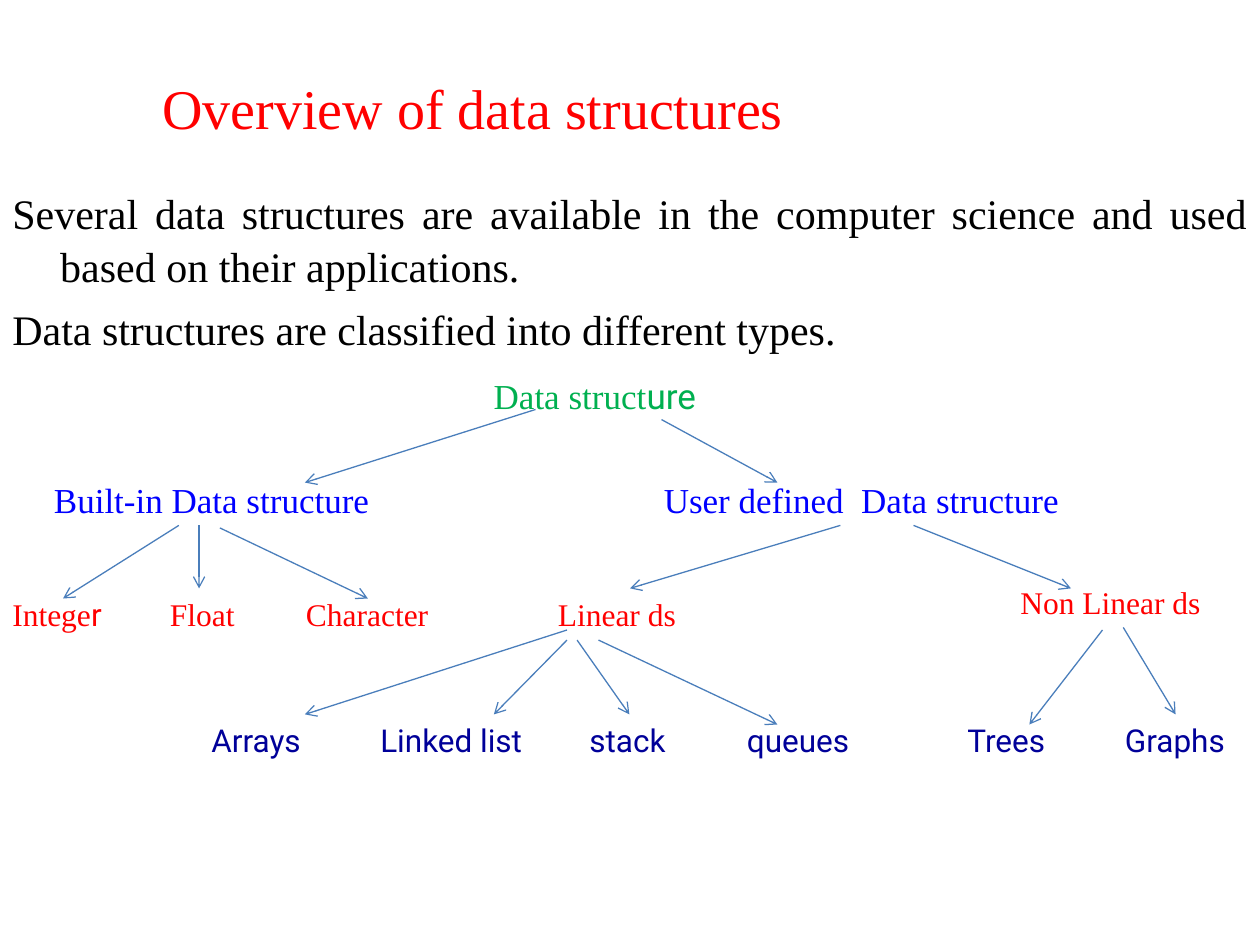
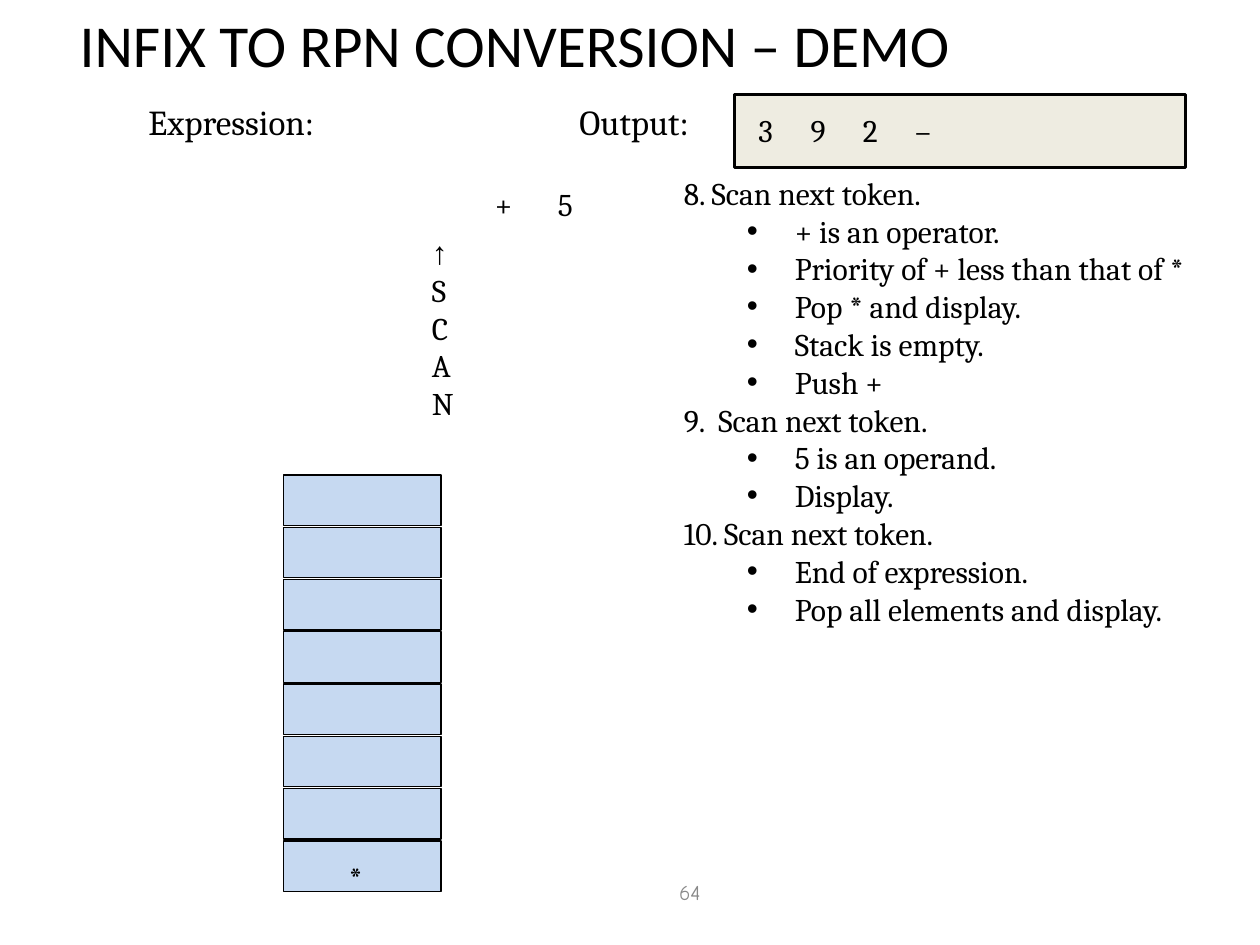
from dataclasses import dataclass

import pptx
import pptx.dml.color
import pptx.enum.shapes
import pptx.enum.text
import pptx.oxml.ns
import pptx.util
from lxml import etree
from pptx.util import Inches

ALIGN = pptx.enum.text.PP_ALIGN
ANCHOR = pptx.enum.text.MSO_ANCHOR
SHAPE = pptx.enum.shapes.MSO_SHAPE
LINK = pptx.enum.shapes.MSO_CONNECTOR
qn = pptx.oxml.ns.qn

HEX = {
    "black": "000000", "red": "FF0000", "green": "00B050", "blue": "0000FF",
    "navy": "000099", "arrow": "4A7EBB", "cell": "C6D9F1", "tray": "EEECE1",
    "grey": "898989",
}
SERIF, SANS, BOOK = "Times New Roman", "Roboto", "Cambria"


@dataclass
class Style:
    font: str
    size: float
    hue: str


ROOT = Style(SERIF, 20, "green")
KIND = Style(SERIF, 20, "blue")
TYPE = Style(SERIF, 18, "red")
LEAF = Style(SANS, 18, "navy")
HEAD = Style(BOOK, 20, "black")
BODY = Style(BOOK, 18, "black")


@dataclass
class Label:
    text: str
    left: float
    top: float
    width: float
    style: Style
    height: float = 0.4
    tail: str = ""  # last letters, set in the sans font


@dataclass
class Arrow:
    start: tuple[float, float]
    end: tuple[float, float]
    source: str = ""  # label whose bottom it leaves
    target: str = ""  # label whose top it meets


TREE = [
    Label("Data struct", 3.82, 2.92, 1.96, ROOT, 0.44, "ure"),
    Label("Built-in Data structure", 0.33, 3.75, 2.83, KIND, 0.44),
    Label("User defined  Data structure", 5.17, 3.75, 3.83, KIND, 0.44),
    Label("Intege", 0, 4.67, 1.17, TYPE, tail="r"),
    Label("Float", 1.25, 4.67, 1.33, TYPE),
    Label("Character", 2.33, 4.67, 1.42, TYPE),
    Label("Linear ds", 4.33, 4.67, 2.33, TYPE),
    Label("Non Linear ds", 8, 4.58, 1.83, TYPE),
    Label("Arrays", 1.58, 5.67, 1.17, LEAF),
    Label("Linked list", 2.92, 5.67, 1.58, LEAF),
    Label("stack", 4.58, 5.67, 0.83, LEAF),
    Label("queues", 5.83, 5.67, 1.08, LEAF),
    Label("Trees", 7.58, 5.67, 0.83, LEAF),
    Label("Graphs", 8.83, 5.67, 1, LEAF),
]
ARROWS = [
    Arrow((4.25, 3.25), (2.42, 3.83)),
    Arrow((5.25, 3.33), (6.17, 3.83)),
    Arrow((1.42, 4.17), (0.5, 4.75)),
    Arrow((1.58, 4.17), (1.58, 4.67)),
    Arrow((1.75, 4.19), (2.92, 4.75), source="Built-in Data structure"),
    Arrow((6.67, 4.17), (5, 4.67)),
    Arrow((7.25, 4.17), (8.5, 4.67)),
    Arrow((4.5, 5), (2.42, 5.67)),
    Arrow((4.5, 5.08), (3.92, 5.67)),
    Arrow((4.58, 5.08), (5, 5.67), target="stack"),
    Arrow((4.75, 5.08), (6.17, 5.75)),
    Arrow((8.75, 5), (8.17, 5.75)),
    Arrow((8.92, 4.98), (9.33, 5.67), source="Non Linear ds", target="Graphs"),
]
INTRO = [
    "Several data structures are available in the computer science "
    "and used based on their applications.",
    "Data structures are classified into different types.",
]
STEPS = [
    ("8. Scan next token.", [
        "+ is an operator.", "Priority of + less than that of *",
        "Pop * and display.", "Stack is empty.", "Push +"]),
    ("9.  Scan next token.", ["5 is an operand.", "Display."]),
    ("10. Scan next token.", [
        "End of expression.", "Pop all elements and display."]),
]
OUTPUT = ["3", "9", "2", "–"]
PITCH = 0.415  # step of both the output tokens and the stack cells
CELLS = 8


def rgb(hue: str) -> pptx.dml.color.RGBColor:
    return pptx.dml.color.RGBColor.from_string(HEX[hue])


def paint(para, style: Style) -> None:
    """Apply a text style to every run of a paragraph."""
    for run in para.runs:
        run.font.name = style.font
        run.font.size = pptx.util.Pt(style.size)
        run.font.color.rgb = rgb(style.hue)


def add_title(deck, text: str, left: float, top: float, width: float,
              height: float, style: Style):
    """Start a title-only slide and return it."""
    slide = deck.slides.add_slide(deck.slide_layouts[5])
    title = slide.shapes.title
    title.left, title.top = Inches(left), Inches(top)
    title.width, title.height = Inches(width), Inches(height)
    frame = title.text_frame
    frame.text = text
    frame.auto_size = pptx.enum.text.MSO_AUTO_SIZE.NONE
    frame.vertical_anchor = ANCHOR.MIDDLE
    frame.paragraphs[0].alignment = ALIGN.CENTER
    paint(frame.paragraphs[0], style)
    return slide


def add_label(slide, item: Label):
    box = slide.shapes.add_textbox(Inches(item.left), Inches(item.top),
                                   Inches(item.width), Inches(item.height))
    frame = box.text_frame
    frame.word_wrap = True
    frame.text = item.text
    para = frame.paragraphs[0]
    if item.tail:
        para.add_run().text = item.tail
    paint(para, item.style)
    if item.tail:
        para.runs[1].font.name = SANS
    return box


def add_arrow(slide, item: Arrow, boxes: dict) -> None:
    ends = [Inches(n) for n in (*item.start, *item.end)]
    line = slide.shapes.add_connector(LINK.STRAIGHT, *ends)
    if item.source:
        line.begin_connect(boxes[item.source], 2)
    if item.target:
        line.end_connect(boxes[item.target], 0)
    line.line.color.rgb = rgb("arrow")
    line.line.width = pptx.util.Pt(0.75)
    etree.SubElement(line.line._get_or_add_ln(), qn("a:tailEnd"), type="arrow")
    etree.SubElement(line._element.spPr, qn("a:effectLst"))


def add_rect(slide, left: float, top: float, width: float, height: float,
             hue: str, weight: float) -> None:
    rect = slide.shapes.add_shape(SHAPE.RECTANGLE, Inches(left), Inches(top),
                                  Inches(width), Inches(height))
    rect.shadow.inherit = False
    rect.fill.solid()
    rect.fill.fore_color.rgb = rgb(hue)
    rect.line.color.rgb = rgb("black")
    rect.line.width = pptx.util.Pt(weight)


def hang(para, left: float, bullet: str = "") -> None:
    """Give a paragraph a hanging indent and, if asked, a bullet."""
    props = para._p.get_or_add_pPr()
    props.set("marL", str(Inches(left)))
    props.set("indent", str(-Inches(0.38)))
    if bullet:
        etree.SubElement(props, qn("a:buFont"), typeface="Arial")
        etree.SubElement(props, qn("a:buChar"), char=bullet)


def add_list(slide, left: float, top: float, width: float, height: float,
             lines: list[tuple[str, int]], style: Style) -> list:
    """Draw (text, level) lines in one box and return its paragraphs."""
    box = slide.shapes.add_textbox(Inches(left), Inches(top),
                                   Inches(width), Inches(height))
    frame = box.text_frame
    frame.word_wrap = True
    frame.text = "\n".join(text for text, _ in lines)
    for para, (_, level) in zip(frame.paragraphs, lines):
        para.level = level
        hang(para, 0.38 + 0.5 * level, "•" if level else "")
        paint(para, style)
    return list(frame.paragraphs)


def draw_tree(deck) -> None:
    slide = add_title(deck, "Overview of data structures", 0, 0.27, 7.51, 1.16,
                      Style(SERIF, 32, "red"))
    paras = add_list(slide, 0, 1.42, 10, 1.5, [(text, 0) for text in INTRO],
                     Style(SERIF, 24, "black"))
    paras[0].alignment = ALIGN.JUSTIFY
    for para in paras:
        para.line_spacing = 1.05
    paras[1].space_before = pptx.util.Pt(6)
    boxes = {item.text: add_label(slide, item) for item in TREE}
    for item in ARROWS:
        add_arrow(slide, item, boxes)


def draw_demo(deck) -> None:
    slide = add_title(deck, "INFIX TO RPN CONVERSION – DEMO", 0, 0.08, 8.17,
                      0.53, Style("Calibri", 34, "black"))
    page = add_label(slide, Label("64", 3.89, 6.83, 3.17,
                                  Style("Comic Neue", 12, "grey"), 0.5))
    page.text_frame.vertical_anchor = ANCHOR.MIDDLE
    page.text_frame.paragraphs[0].alignment = ALIGN.CENTER

    for row in range(CELLS):
        add_rect(slide, 2.25, 3.77 + PITCH * row, 1.25, 0.4, "cell", 0.75)
    add_label(slide, Label("*", 2.67, 6.76, 0.42, BODY))

    add_rect(slide, 5.83, 0.75, 3.58, 0.58, "tray", 2)
    for col, token in enumerate(OUTPUT):
        add_label(slide, Label(token, 5.92 + PITCH * col, 0.83, 0.42, BODY))
    add_label(slide, Label("Expression:", 1.08, 0.75, 1.75, HEAD, 0.44))
    add_label(slide, Label("Output:", 4.5, 0.75, 1.75, HEAD, 0.44))
    for left, token in ((3.83, "+"), (4.33, "5")):
        add_label(slide, Label(token, left, 1.42, 0.42, BODY))

    scan = add_label(slide, Label("↑", 3.33, 1.8, 0.33, BODY, 1.6, "SCAN"))
    for run, font in zip(scan.text_frame.paragraphs[0].runs, ("Arial", BOOK)):
        run.font.name = font

    lines = []
    for step, notes in STEPS:
        lines += [(step, 0), *((note, 1) for note in notes)]
    add_list(slide, 5.33, 1.33, 4.67, 6.17, lines, BODY)


def main() -> None:
    deck = pptx.Presentation()
    deck.slide_width, deck.slide_height = Inches(10), Inches(7.5)
    draw_tree(deck)
    draw_demo(deck)
    deck.save("out.pptx")


if __name__ == "__main__":
    main()
